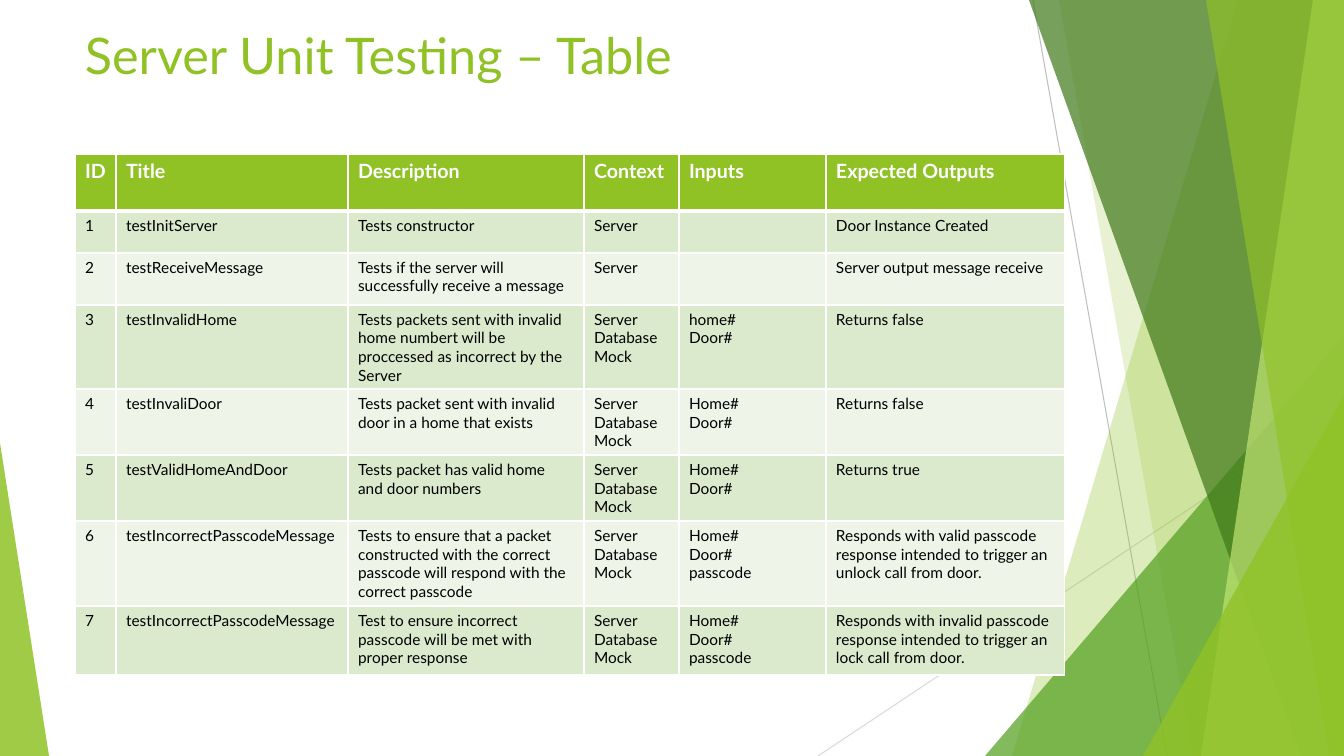
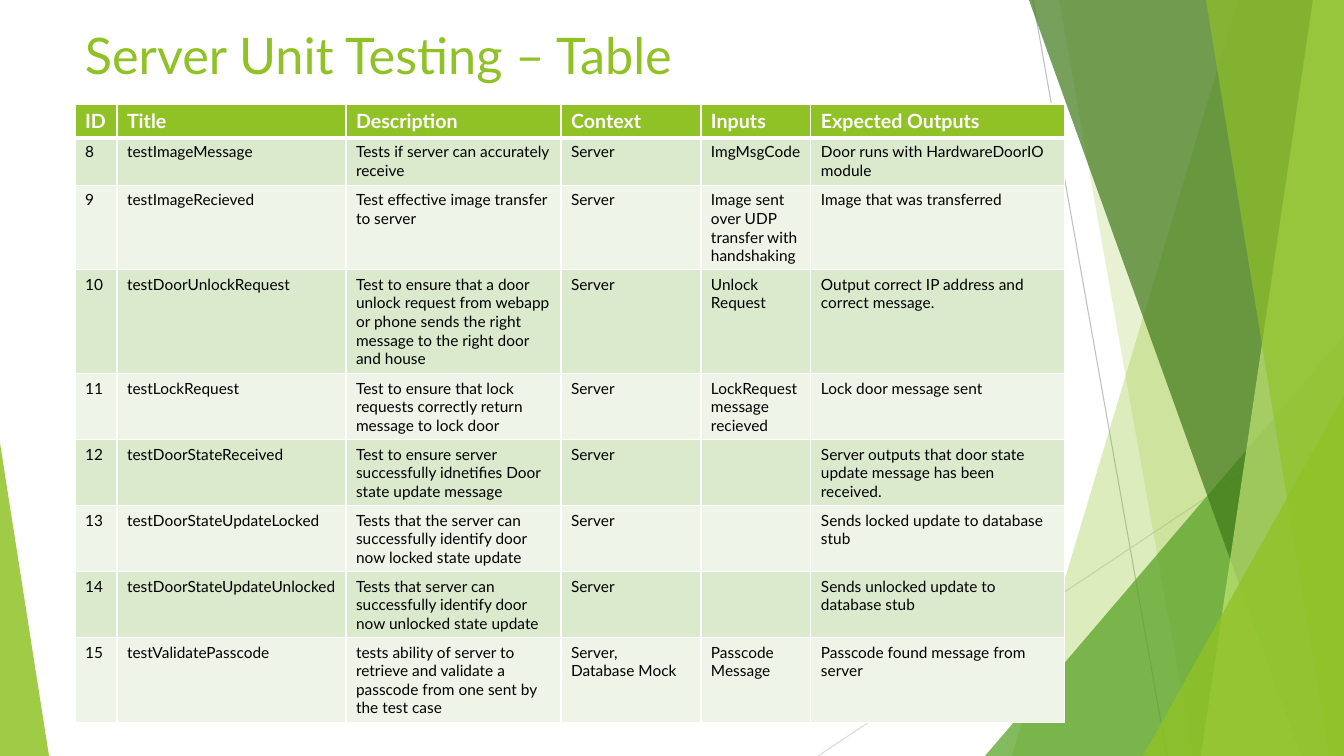
"""Build two slides of server unit test tables on a faceted green theme."""
import dataclasses
import typing

import lxml.etree
import pptx
import pptx.dml.color
import pptx.enum.shapes
import pptx.enum.text
import pptx.oxml.ns
import pptx.slide
import pptx.text.text
import pptx.util

WIDE, HIGH = 1344, 756
SCALE = 12192000 / WIDE
COLORS = {
    "lime": "90C226", "leaf": "54A021", "moss": "3F7819", "pale": "C0E474",
    "gray": "BFBFBF", "mist": "D9D9D9", "white": "FFFFFF", "black": "000000",
    "odd": "DBE9CD", "even": "EEF4E8",
}
TITLE = {"name": "Lato", "size": pptx.util.Pt(36), "bold": False}
HEAD = {"name": "Lato", "size": pptx.util.Pt(14), "bold": True}
BODY = {"name": "Lato", "size": pptx.util.Pt(11), "bold": False}
LABELS = ("ID", "Title", "Description", "Context", "Inputs", "Expected Outputs")
LEFT = 75
MOCK = "Server\nDatabase Mock"
DOOR = "Home#\nDoor#"
CODE = "Home#\nDoor#\npasscode"


class Line(typing.NamedTuple):
    """A thin line between two points."""
    start: tuple[int, int]
    end: tuple[int, int]
    color: str


class Facet(typing.NamedTuple):
    """A sheet from a slanted left edge to the right side of the slide."""
    top: int
    base: int
    color: str
    alpha: int


class Wedge(typing.NamedTuple):
    """A right triangle standing on the bottom of the slide."""
    left: int
    top: int
    width: int
    tip: int
    color: str
    alpha: int


@dataclasses.dataclass(frozen=True)
class Page:
    """One slide with its table of tests."""
    title: str
    top: int
    cols: tuple[int, ...]
    heights: tuple[int, ...]
    tests: tuple[tuple[str, ...], ...]


DECOR = (
    Line((1033, 0), (1167, HIGH), "gray"),
    Line((WIDE, 406), (818, HIGH), "mist"),
    Facet(1238, 1012, "lime", 30),
    Facet(1059, 1193, "lime", 20),
    Wedge(985, 336, 359, 1, "leaf", 72),
    Facet(1029, 1301, "moss", 70),
    Facet(1313, 1201, "pale", 70),
    Facet(1206, 1329, "lime", 65),
    Wedge(1143, 396, 201, 1, "lime", 80),
    Wedge(0, 443, 49, 0, "lime", 85),
)

PAGES = (
    Page(
        "Server Unit Testing – Table", 154,
        (41, 232, 236, 95, 147, 239), (57, 42, 52, 84, 66, 66, 85, 69),
        (
            ("1", "testInitServer", "Tests constructor", "Server", "", "Door Instance Created"),
            ("2", "testReceiveMessage", "Tests if the server will successfully receive a message",
             "Server", "", "Server output message receive"),
            ("3", "testInvalidHome",
             "Tests packets sent with invalid home numbert will be proccessed as incorrect by the Server",
             MOCK, "home#\nDoor#", "Returns false"),
            ("4", "testInvaliDoor", "Tests packet sent with invalid door in a home that exists",
             MOCK, DOOR, "Returns false"),
            ("5", "testValidHomeAndDoor", "Tests packet has valid home and door numbers",
             MOCK, DOOR, "Returns true"),
            ("6", "testIncorrectPasscodeMessage",
             "Tests to ensure that a packet constructed with the correct passcode "
             "will respond with the correct passcode", MOCK, CODE,
             "Responds with valid passcode response intended to trigger an unlock call from door."),
            ("7", "testIncorrectPasscodeMessage",
             "Test to ensure incorrect passcode will be met with proper response",
             "Server\nDatabase\nMock", CODE,
             "Responds with invalid passcode response intended to trigger an lock call from door."),
        ),
    ),
    Page(
        "Server Unit Testing – Table", 104,
        (42, 229, 215, 140, 110, 254), (33, 48, 84, 104, 66, 66, 66, 66, 85),
        (
            ("8", "testImageMessage", "Tests if server can accurately receive",
             "Server", "ImgMsgCode", "Door runs with HardwareDoorIO module"),
            ("9", "testImageRecieved", "Test effective image transfer to server", "Server",
             "Image sent over UDP transfer with handshaking", "Image that was transferred"),
            ("10", "testDoorUnlockRequest",
             "Test to ensure that a door unlock request from webapp or phone "
             "sends the right message to the right door and house",
             "Server", "Unlock Request", "Output correct IP address and correct message."),
            ("11", "testLockRequest",
             "Test to ensure that lock requests correctly return message to lock door",
             "Server", "LockRequest message recieved", "Lock door message sent"),
            ("12", "testDoorStateReceived",
             "Test to ensure server successfully idnetifies Door state update message",
             "Server", "", "Server outputs that door state update message has been received."),
            ("13", "testDoorStateUpdateLocked",
             "Tests that the server can successfully identify door now locked state update",
             "Server", "", "Sends locked update to database stub"),
            ("14", "testDoorStateUpdateUnlocked",
             "Tests that server can successfully identify door now unlocked state update",
             "Server", "", "Sends unlocked update to database stub"),
            ("15", "testValidatePasscode",
             "tests ability of server to retrieve and validate a passcode from one sent by the test case",
             "Server,\nDatabase Mock", "Passcode Message", "Passcode found message from server"),
        ),
    ),
)


def px(*sizes: int) -> list[int]:
    """Turn pixels into EMU."""
    return [round(size * SCALE) for size in sizes]


def tint(name: str) -> pptx.dml.color.RGBColor:
    """Look up a named colour."""
    return pptx.dml.color.RGBColor.from_string(COLORS[name])


def write(frame: pptx.text.text.TextFrame, text: str, style: dict, color: str) -> None:
    """Fill a text frame and style every run."""
    frame.text = text
    for part in frame.paragraphs:
        for run in part.runs:
            for key, value in style.items():
                setattr(run.font, key, value)
            run.font.color.rgb = tint(color)


def draw(slide: pptx.slide.Slide, item: Line | Facet | Wedge) -> None:
    """Draw one part of the background."""
    shapes = slide.shapes
    if isinstance(item, Line):
        line = shapes.add_connector(
            pptx.enum.shapes.MSO_CONNECTOR.STRAIGHT, *px(*item.start, *item.end))
        line.line.color.rgb = tint(item.color)
        line.line.width = pptx.util.Pt(0.75)
        lxml.etree.SubElement(line.element.spPr, pptx.oxml.ns.qn("a:effectLst"))
        return
    if isinstance(item, Facet):
        pen = shapes.build_freeform(item.top, 0, scale=SCALE)
        pen.add_line_segments([(WIDE, 0), (WIDE, HIGH), (item.base, HIGH)], close=True)
        shape = pen.convert_to_shape()
    else:
        shape = shapes.add_shape(
            pptx.enum.shapes.MSO_SHAPE.ISOSCELES_TRIANGLE,
            *px(item.left, item.top, item.width, HIGH - item.top))
        shape.adjustments[0] = item.tip
    shape.shadow.inherit = False
    shape.fill.solid()
    shape.fill.fore_color.rgb = tint(item.color)
    shape.line.fill.background()
    paint = shape.element.spPr.find(".//" + pptx.oxml.ns.qn("a:srgbClr"))
    lxml.etree.SubElement(paint, pptx.oxml.ns.qn("a:alpha"), val=str(item.alpha * 1000))


def edge(cell: typing.Any, row: int) -> None:
    """Give a cell white borders, thick below the header."""
    props = cell._tc.get_or_add_tcPr()
    for spot, side in enumerate("LRTB"):
        thick = (row, side) in ((0, "B"), (1, "T"))
        line = lxml.etree.Element(pptx.oxml.ns.qn(f"a:ln{side}"), w=str(pptx.util.Pt(3 if thick else 1)))
        fill = lxml.etree.SubElement(line, pptx.oxml.ns.qn("a:solidFill"))
        lxml.etree.SubElement(fill, pptx.oxml.ns.qn("a:srgbClr"), val=COLORS["white"])
        props.insert(spot, line)


def grid(slide: pptx.slide.Slide, page: Page) -> None:
    """Add the table of tests."""
    rows = (LABELS, *page.tests)
    table = slide.shapes.add_table(
        len(rows), len(LABELS),
        *px(LEFT, page.top, sum(page.cols), sum(page.heights))).table
    for col, width in zip(table.columns, px(*page.cols)):
        col.width = width
    for row, height in zip(table.rows, px(*page.heights)):
        row.height = height
    for r, texts in enumerate(rows):
        back = "lime" if r == 0 else ("even", "odd")[r % 2]
        style, color = (HEAD, "white") if r == 0 else (BODY, "black")
        for c, text in enumerate(texts):
            cell = table.cell(r, c)
            cell.fill.solid()
            cell.fill.fore_color.rgb = tint(back)
            write(cell.text_frame, text, style, color)
            edge(cell, r)


def build(deck: typing.Any, page: Page) -> None:
    """Add one slide."""
    slide = deck.slides.add_slide(deck.slide_layouts[6])
    for item in DECOR:
        draw(slide, item)
    frame = slide.shapes.add_textbox(*px(LEFT, 19, 948, 145)).text_frame
    frame.word_wrap = True
    frame.vertical_anchor = pptx.enum.text.MSO_ANCHOR.TOP
    write(frame, page.title, TITLE, "lime")
    grid(slide, page)


def main() -> None:
    """Build and save the deck."""
    deck = pptx.Presentation()
    deck.slide_width, deck.slide_height = px(WIDE, HIGH)
    for page in PAGES:
        build(deck, page)
    deck.save("out.pptx")


if __name__ == "__main__":
    main()
